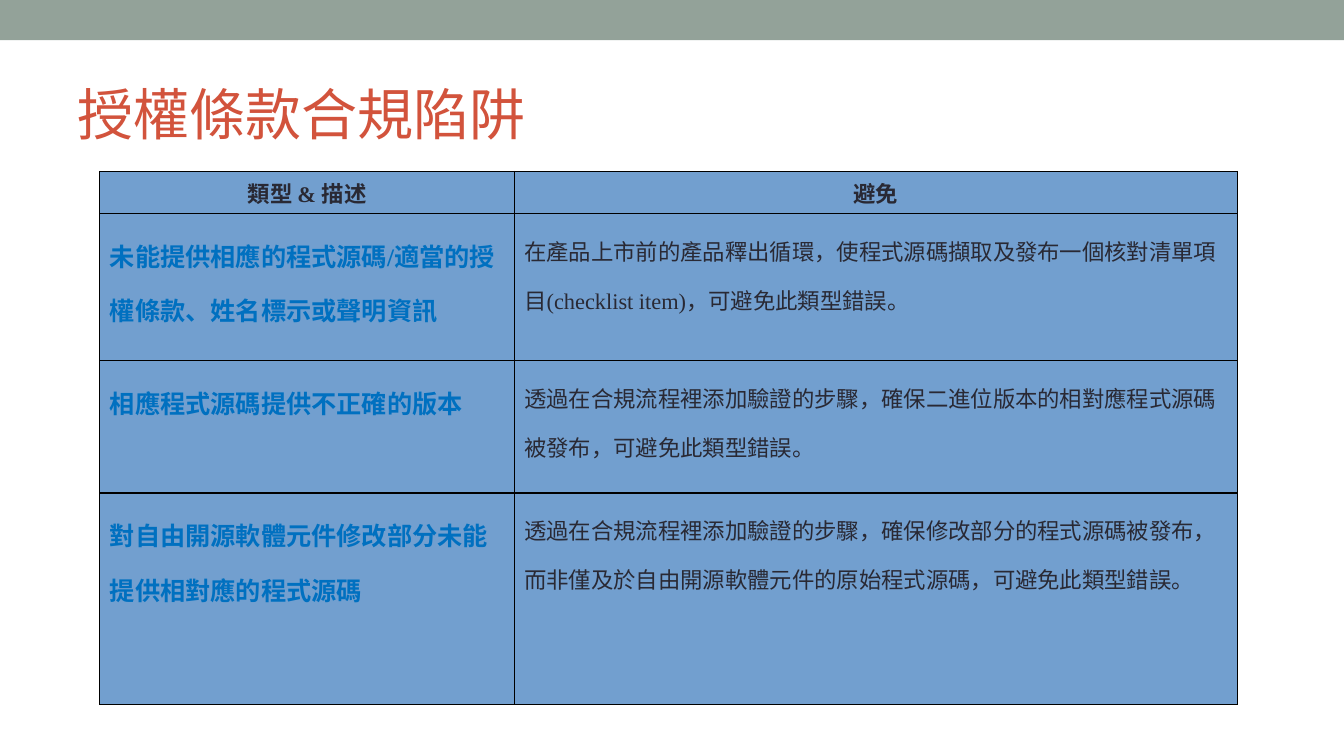
import dataclasses

import lxml.etree
import pptx
import pptx.dml.color
import pptx.enum.shapes
import pptx.enum.text
import pptx.oxml.ns
import pptx.util

Inches = pptx.util.Inches
FONT = "Times New Roman"
BAND_COLOR = "93A299"
TITLE_COLOR = "D2533C"
CELL_COLOR = "729FCF"
BORDER_COLOR = "000000"
BORDER_WIDTH = 0.96
COLUMN_WIDTHS = (4.11, 7.17)


@dataclasses.dataclass(frozen=True)
class TextStyle:
    size: float
    color: str
    bold: bool = False
    line_spacing: float = 1.0
    centered: bool = False


@dataclasses.dataclass(frozen=True)
class TableRow:
    height: float
    texts: tuple[str, str]
    styles: tuple[TextStyle, TextStyle]


TITLE = TextStyle(40, TITLE_COLOR)
HEADING = TextStyle(16, "292934", bold=True, centered=True)
PITFALL = TextStyle(18, "0070C0", bold=True, line_spacing=1.5)
AVOIDANCE = TextStyle(16, "292934", line_spacing=1.5)

ROWS = (
    TableRow(0.42, ("類型 & 描述", "避免"), (HEADING, HEADING)),
    TableRow(
        1.46,
        (
            "未能提供相應的程式源碼/適當的授權條款、姓名標示或聲明資訊",
            "在產品上市前的產品釋出循環，使程式源碼擷取及發布一個核對清單項目(checklist item)，可避免此類型錯誤。",
        ),
        (PITFALL, AVOIDANCE),
    ),
    TableRow(
        1.31,
        (
            "相應程式源碼提供不正確的版本",
            "透過在合規流程裡添加驗證的步驟，確保二進位版本的相對應程式源碼被發布，可避免此類型錯誤。",
        ),
        (PITFALL, AVOIDANCE),
    ),
    TableRow(
        2.1,
        (
            "對自由開源軟體元件修改部分未能提供相對應的程式源碼",
            "透過在合規流程裡添加驗證的步驟，確保修改部分的程式源碼被發布，而非僅及於自由開源軟體元件的原始程式源碼，可避免此類型錯誤。",
        ),
        (PITFALL, AVOIDANCE),
    ),
)


def rgb(value: str) -> pptx.dml.color.RGBColor:
    return pptx.dml.color.RGBColor.from_string(value)


def write_text(text_frame, text: str, style: TextStyle) -> None:
    text_frame.word_wrap = True
    text_frame.text = text
    paragraph = text_frame.paragraphs[0]
    paragraph.line_spacing = style.line_spacing
    alignment = pptx.enum.text.PP_ALIGN
    paragraph.alignment = alignment.CENTER if style.centered else alignment.LEFT
    for run in paragraph.runs:
        run.font.name = FONT
        run.font.size = pptx.util.Pt(style.size)
        run.font.bold = style.bold
        run.font.color.rgb = rgb(style.color)


def add_borders(cell) -> None:
    qn = pptx.oxml.ns.qn
    properties = cell._tc.get_or_add_tcPr()
    for side in ("a:lnL", "a:lnR", "a:lnT", "a:lnB"):
        line = lxml.etree.SubElement(
            properties, qn(side), w=str(pptx.util.Pt(BORDER_WIDTH))
        )
        fill = lxml.etree.SubElement(line, qn("a:solidFill"))
        lxml.etree.SubElement(fill, qn("a:srgbClr"), val=BORDER_COLOR)


def add_band(slide) -> None:
    band = slide.shapes.add_shape(
        pptx.enum.shapes.MSO_SHAPE.RECTANGLE, 0, 0, Inches(13.33), Inches(0.4)
    )
    band.shadow.inherit = False
    band.fill.solid()
    band.fill.fore_color.rgb = rgb(BAND_COLOR)
    band.line.fill.background()


def add_pitfall_table(slide) -> None:
    table = slide.shapes.add_table(
        len(ROWS),
        len(COLUMN_WIDTHS),
        Inches(0.99),
        Inches(1.7),
        Inches(sum(COLUMN_WIDTHS)),
        Inches(sum(row.height for row in ROWS)),
    ).table
    for column, width in zip(table.columns, COLUMN_WIDTHS):
        column.width = Inches(width)
    for row_index, row in enumerate(ROWS):
        table.rows[row_index].height = Inches(row.height)
        for column_index, (text, style) in enumerate(zip(row.texts, row.styles)):
            cell = table.cell(row_index, column_index)
            write_text(cell.text_frame, text, style)
            add_borders(cell)
            cell.fill.solid()
            cell.fill.fore_color.rgb = rgb(CELL_COLOR)


def add_title(slide) -> None:
    title = slide.shapes.add_textbox(
        Inches(0.67), Inches(0.58), Inches(12), Inches(1.08)
    )
    title.text_frame.vertical_anchor = pptx.enum.text.MSO_ANCHOR.MIDDLE
    write_text(title.text_frame, "授權條款合規陷阱", TITLE)


def main() -> None:
    presentation = pptx.Presentation()
    presentation.slide_width = Inches(13.33)
    presentation.slide_height = Inches(7.5)
    slide = presentation.slides.add_slide(presentation.slide_layouts[6])
    add_band(slide)
    add_pitfall_table(slide)
    add_title(slide)
    presentation.save("out.pptx")


if __name__ == "__main__":
    main()
